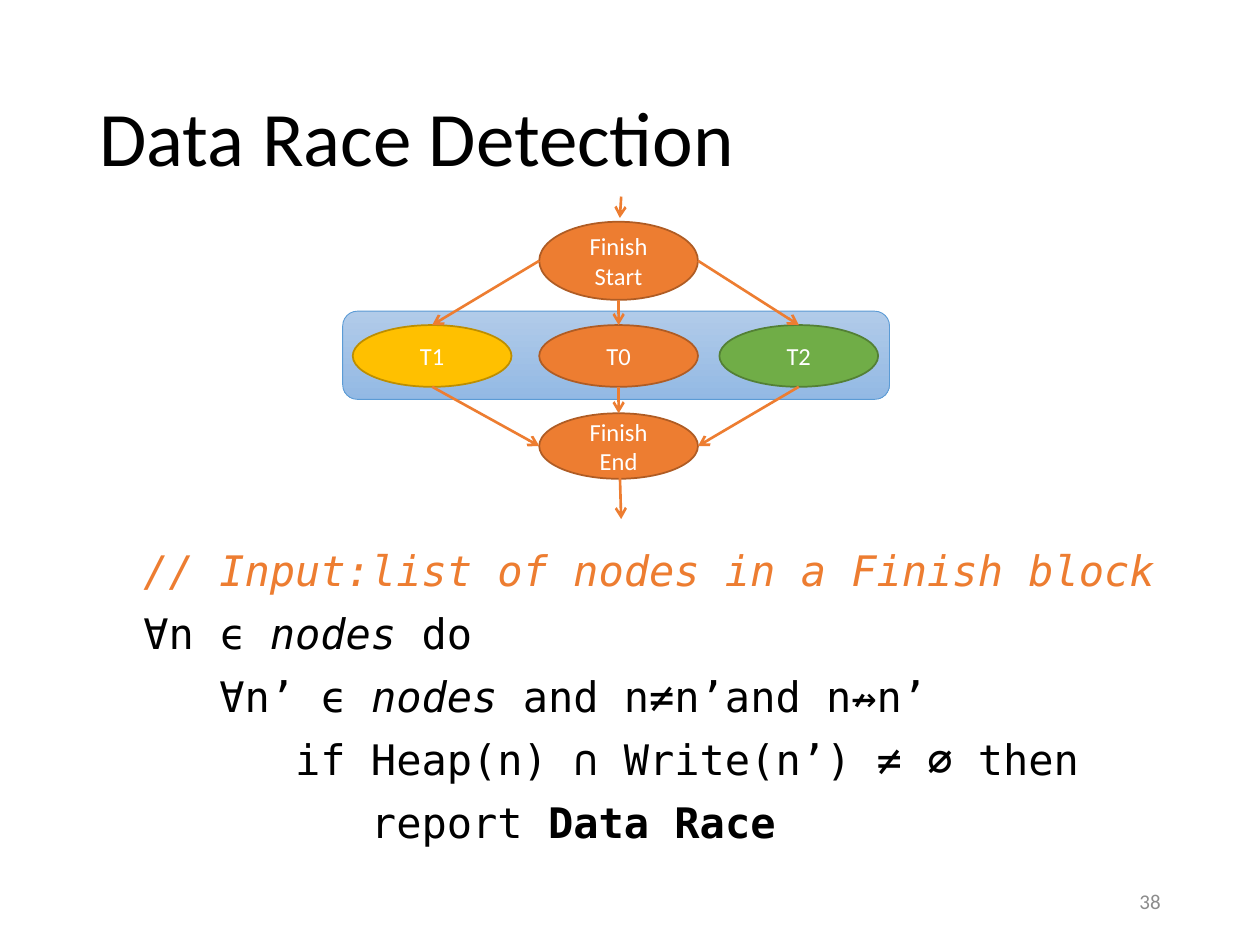
import lxml.etree
import pptx
import pptx.dml.color
import pptx.enum.shapes
import pptx.enum.text
import pptx.oxml.ns
import pptx.util

Inches, Pt = pptx.util.Inches, pptx.util.Pt
RGBColor = pptx.dml.color.RGBColor
SHAPE = pptx.enum.shapes.MSO_SHAPE
ALIGN = pptx.enum.text.PP_ALIGN
ANCHOR = pptx.enum.text.MSO_ANCHOR
qn = pptx.oxml.ns.qn

BLACK = RGBColor(0x00, 0x00, 0x00)
WHITE = RGBColor(0xFF, 0xFF, 0xFF)
GRAY = RGBColor(0x8C, 0x8C, 0x8C)
ORANGE = RGBColor(0xED, 0x7D, 0x31)
DARK_ORANGE = RGBColor(0xAF, 0x5C, 0x24)
GOLD = RGBColor(0xFF, 0xC0, 0x00)
DARK_GOLD = RGBColor(0xBD, 0x8E, 0x00)
GREEN = RGBColor(0x70, 0xAD, 0x47)
DARK_GREEN = RGBColor(0x53, 0x80, 0x35)
BLUE = RGBColor(0x5B, 0x9B, 0xD5)
BAND_TOP = RGBColor(0xB1, 0xCB, 0xE9)
BAND_BOTTOM = RGBColor(0x93, 0xB9, 0xE4)

TITLE_FONT = {"name": "Calibri", "size": Pt(44)}
NUMBER_FONT = {"name": "Calibri", "size": Pt(12)}
NODE_FONT = {"name": "Calibri", "size": Pt(14)}
CODE_FONT = {"name": "DejaVu Sans Mono", "size": Pt(24)}
ITALIC = {"italic": True}
BOLD = {"bold": True}

NODE_WIDTH = 1.26
# label lines, left, top, height (within the diagram), fill, outline
NODES = {
    "start": (["Finish", "Start"], 1.56, 0.2, 0.62, ORANGE, DARK_ORANGE),
    "T0": (["T0"], 1.56, 1.02, 0.49, ORANGE, DARK_ORANGE),
    "end": (["Finish", "End"], 1.56, 1.72, 0.52, ORANGE, DARK_ORANGE),
    "T1": (["T1"], 0.08, 1.02, 0.49, GOLD, DARK_GOLD),
    "T2": (["T2"], 2.99, 1.02, 0.49, GREEN, DARK_GREEN),
}
EDGES = [
    ("start", "left", "T1", "top"),
    ("start", "bottom", "T0", "top"),
    ("start", "right", "T2", "top"),
    ("T1", "bottom", "end", "left"),
    ("T0", "bottom", "end", "top"),
    ("T2", "bottom", "end", "right"),
]
CODE_LINES = [
    [("// Input:list of nodes in a Finish block", ITALIC, ORANGE)],
    [("∀n ϵ ", {}, BLACK), ("nodes", ITALIC, BLACK), (" do", {}, BLACK)],
    [("   ∀n’ ϵ ", {}, BLACK), ("nodes ", ITALIC, BLACK),
     ("and n≠n’and n↛n’", {}, BLACK)],
    [("      if Heap(n) ∩ Write(n’) ≠ ", {}, BLACK), ("∅ ", BOLD, BLACK),
     ("then", {}, BLACK)],
    [("         report ", {}, BLACK), ("Data Race", BOLD, BLACK)],
]


def set_format(target, values):
    for name, value in values.items():
        setattr(target, name, value)


def add_run(paragraph, text, font, color):
    run = paragraph.add_run()
    run.text = text
    set_format(run.font, font)
    run.font.color.rgb = color


def add_text_frame(slide, box, anchor):
    frame = slide.shapes.add_textbox(*map(Inches, box)).text_frame
    set_format(frame, {"word_wrap": True, "vertical_anchor": anchor})
    return frame


def add_label(slide, box, text, font, color, layout):
    """Place one line of text, centred vertically in its box."""
    paragraph = add_text_frame(slide, box, ANCHOR.MIDDLE).paragraphs[0]
    set_format(paragraph, layout)
    add_run(paragraph, text, font, color)


def add_code(slide, box):
    frame = add_text_frame(slide, box, ANCHOR.TOP)
    for index, pieces in enumerate(CODE_LINES):
        paragraph = frame.add_paragraph() if index else frame.paragraphs[0]
        set_format(paragraph, {"line_spacing": 0.9,
                               "space_before": Pt(10 if index else 0)})
        for text, style, color in pieces:
            add_run(paragraph, text, {**CODE_FONT, **style}, color)


def add_arrow(slide, start, end):
    arrow = slide.shapes.add_connector(
        pptx.enum.shapes.MSO_CONNECTOR.STRAIGHT, *map(Inches, (*start, *end)))
    arrow.line.color.rgb = ORANGE
    arrow.line.width = Pt(1.5)
    properties = arrow.element.spPr
    lxml.etree.SubElement(properties.find(qn("a:ln")), qn("a:tailEnd"), type="arrow")
    lxml.etree.SubElement(properties, qn("a:effectLst"))


def add_band(slide, box):
    band = slide.shapes.add_shape(SHAPE.ROUNDED_RECTANGLE, *map(Inches, box))
    band.shadow.inherit = False
    band.fill.gradient()
    band.fill.gradient_angle = 270
    for stop, color in zip(band.fill.gradient_stops, (BAND_TOP, BAND_BOTTOM)):
        stop.color.rgb = color
    band.line.color.rgb = BLUE
    band.line.width = Pt(0.5)


def add_node(slide, box, lines, fill, outline):
    """Draw a labelled ellipse and return the points where arrows meet it."""
    node = slide.shapes.add_shape(SHAPE.OVAL, *map(Inches, box))
    node.shadow.inherit = False
    node.fill.solid()
    node.fill.fore_color.rgb = fill
    node.line.color.rgb = outline
    node.line.width = Pt(1)
    frame = node.text_frame
    set_format(frame, {"word_wrap": True, "vertical_anchor": ANCHOR.MIDDLE,
                       "margin_top": 0, "margin_bottom": 0})
    for index, text in enumerate(lines):
        paragraph = frame.add_paragraph() if index else frame.paragraphs[0]
        paragraph.alignment = ALIGN.CENTER
        add_run(paragraph, text, NODE_FONT, WHITE)
    left, top, width, height = box
    center, middle = left + width / 2, top + height / 2
    return {"left": (left, middle), "right": (left + width, middle),
            "top": (center, top), "bottom": (center, top + height)}


def add_task_graph(slide, left, top, width):
    add_band(slide, (left, top + 0.91, width, 0.7))
    ports = {
        name: add_node(slide, (left + x, top + y, NODE_WIDTH, height),
                       lines, fill, outline)
        for name, (lines, x, y, height, fill, outline) in NODES.items()
    }
    for source, exit_side, target, entry_side in EDGES:
        add_arrow(slide, ports[source][exit_side], ports[target][entry_side])
    add_arrow(slide, (left + 2.21, top), (left + 2.2, top + 0.17))
    add_arrow(slide, (left + 2.2, top + 2.21), (left + 2.21, top + 2.56))


def main():
    presentation = pptx.Presentation()
    presentation.slide_width = Inches(10)
    presentation.slide_height = Inches(7.5)
    slide = presentation.slides.add_slide(presentation.slide_layouts[6])
    add_label(slide, (0.69, 0.4, 8.62, 1.45), "Data Race Detection",
              TITLE_FONT, BLACK, {"line_spacing": 0.9})
    add_task_graph(slide, 2.72, 1.56, 4.34)
    add_code(slide, (1.04, 4.32, 8.62, 2.71))
    add_label(slide, (7.06, 6.95, 2.25, 0.4), "38",
              NUMBER_FONT, GRAY, {"alignment": ALIGN.RIGHT})
    presentation.save("out.pptx")


if __name__ == "__main__":
    main()
